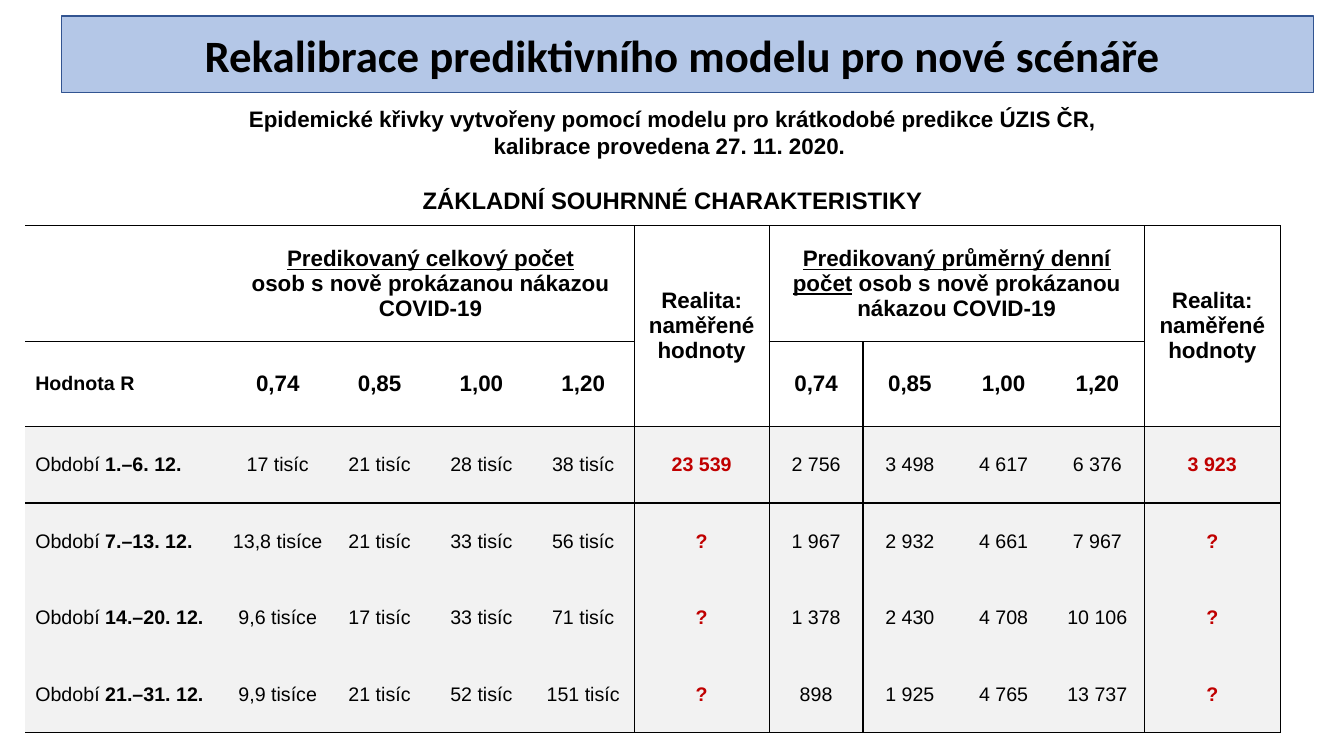
from dataclasses import dataclass

from lxml import etree
from pptx import Presentation
from pptx.dml.color import RGBColor
from pptx.enum.text import MSO_ANCHOR, MSO_AUTO_SIZE, PP_ALIGN
from pptx.oxml.ns import qn
from pptx.util import Inches, Pt

LEFT, CENTER = PP_ALIGN.LEFT, PP_ALIGN.CENTER
MIDDLE = MSO_ANCHOR.MIDDLE
TITLE_ONLY = 5


@dataclass(frozen=True)
class Theme:
    title_font: str = "Calibri"
    body_font: str = "Arial"
    black: str = "000000"
    reality: str = "C00000"
    banner: str = "B4C7E7"
    banner_line: str = "325491"
    data_fill: str = "F2F2F2"
    title_size: int = 32
    section_size: int = 17
    header_size: int = 16
    data_size: int = 14
    line_width: int = 1


THEME = Theme()

# Content
TITLE = "Rekalibrace prediktivního modelu pro nové scénáře "
SOURCE_NOTE = ("Epidemické křivky vytvořeny pomocí modelu pro krátkodobé predikce ÚZIS ČR,"
               "\vkalibrace provedena 27. 11. 2020. ")
SECTION = "ZÁKLADNÍ SOUHRNNÉ CHARAKTERISTIKY"

# Group headings: first part underlined, second part plain
TOTAL_HEADING = ("Predikovaný celkový počet", "\vosob s nově prokázanou nákazou COVID-19")
DAILY_HEADING = ("Predikovaný průměrný denní počet", " osob s nově prokázanou nákazou COVID-19")
REALITY_HEADING = "Realita: naměřené\nhodnoty"
R_LABEL = "Hodnota R"
R_VALUES = ["0,74", "0,85", "1,00", "1,20"]

# Period, predicted totals, measured total, predicted daily means, measured daily mean
PERIODS = [
    ("1.–6. 12.", ["17 tisíc", "21 tisíc", "28 tisíc", "38 tisíc"], "23 539",
     ["2 756", "3 498", "4 617", "6 376"], "3 923"),
    ("7.–13. 12.", ["13,8 tisíce", "21 tisíc", "33 tisíc", "56 tisíc"], "?",
     ["1 967", "2 932", "4 661", "7 967"], "?"),
    ("14.–20. 12.", ["9,6 tisíce", "17 tisíc", "33 tisíc", "71 tisíc"], "?",
     ["1 378", "2 430", "4 708", "10 106"], "?"),
    ("21.–31. 12.", ["9,9 tisíce", "21 tisíc", "52 tisíc", "151 tisíc"], "?",
     ["898", "1 925", "4 765", "13 737"], "?"),
]

# Table layout
COLUMN_WIDTHS = [2] + [1.01] * 4 + [1.34] + [0.93] * 4 + [1.35]
ROW_HEIGHTS = [1.15, 0.73] + [0.76] * len(PERIODS)
TOTAL_COLUMN, DAILY_COLUMN = 1, 6
REALITY_COLUMNS = (5, 10)
HEADER_ROWS = 2


def style(font, size, bold=True, color=THEME.black, name=THEME.body_font):
    font.name, font.size, font.bold = name, Pt(size), bold
    font.color.rgb = RGBColor.from_string(color)


def write(cell, text, size, bold=True, color=THEME.black, align=CENTER):
    cell.text_frame.text = text
    for paragraph in cell.text_frame.paragraphs:
        paragraph.alignment = align
        for run in paragraph.runs:
            style(run.font, size, bold, color)


def append(cell, text, size):
    """Adds a second part, after a line break if the text starts with one."""
    paragraph = cell.text_frame.paragraphs[0]
    if text.startswith("\v"):
        paragraph.add_line_break()
    run = paragraph.add_run()
    run.text = text.lstrip("\v")
    style(run.font, size)
    return run


def ruled_vertical(row, edge):
    return edge in (5, 6, 10, 11) or (edge == 7 and row > 0)


def ruled_horizontal(edge, column):
    return edge in (0, 2, 3, 6) or (edge == 1 and column not in REALITY_COLUMNS)


def set_borders(cell, row, column):
    sides = {
        "a:lnL": ruled_vertical(row, column),
        "a:lnR": ruled_vertical(row, column + 1),
        "a:lnT": ruled_horizontal(row, column),
        "a:lnB": ruled_horizontal(row + 1, column),
    }
    properties = cell._tc.get_or_add_tcPr()
    for tag, ruled in sides.items():
        width = Pt(THEME.line_width) if ruled else 0
        line = etree.SubElement(properties, qn(tag), w=str(int(width)))
        if ruled:
            fill = etree.SubElement(line, qn("a:solidFill"))
            etree.SubElement(fill, qn("a:srgbClr"), val=THEME.black)
        else:
            etree.SubElement(line, qn("a:noFill"))


def add_title(slide):
    title = slide.shapes.title
    title.left, title.top = Inches(0.61), Inches(0.16)
    title.width, title.height = Inches(12.42), Inches(0.76)
    outline = etree.SubElement(title._element.spPr, qn("a:prstGeom"), prst="roundRect")
    etree.SubElement(outline, qn("a:avLst"))
    title.fill.solid()
    title.fill.fore_color.rgb = RGBColor.from_string(THEME.banner)
    title.line.color.rgb = RGBColor.from_string(THEME.banner_line)
    title.line.width = Pt(THEME.line_width)
    frame = title.text_frame
    frame.text = TITLE
    frame.auto_size = MSO_AUTO_SIZE.NONE
    frame.vertical_anchor = MIDDLE
    frame.paragraphs[0].alignment = CENTER
    style(frame.paragraphs[0].runs[0].font, THEME.title_size, name=THEME.title_font)


def add_intro(slide):
    intro = slide.shapes.add_textbox(Inches(-0.19), Inches(0.99), Inches(13.72), Inches(1.21))
    frame = intro.text_frame
    frame.word_wrap = True
    note, section = frame.paragraphs[0], frame.add_paragraph()
    note.text, section.text = SOURCE_NOTE, SECTION
    section.space_before = Pt(19.5)
    for paragraph, size in ((note, THEME.header_size), (section, THEME.section_size)):
        paragraph.alignment = CENTER
        paragraph.line_spacing = Pt(19.5)
        for run in paragraph.runs:
            style(run.font, size)


def add_predictions(slide):
    table = slide.shapes.add_table(
        len(ROW_HEIGHTS), len(COLUMN_WIDTHS), Inches(0.25), Inches(2.24),
        Inches(sum(COLUMN_WIDTHS)), Inches(sum(ROW_HEIGHTS))).table
    table.first_row = table.horz_banding = False
    for column, width in zip(table.columns, COLUMN_WIDTHS):
        column.width = Inches(width)
    for row, height in zip(table.rows, ROW_HEIGHTS):
        row.height = Inches(height)

    # Borders, fills and margins
    for r in range(len(ROW_HEIGHTS)):
        for c in range(len(COLUMN_WIDTHS)):
            cell = table.cell(r, c)
            set_borders(cell, r, c)
            cell.vertical_anchor = MIDDLE
            if r >= HEADER_ROWS:
                cell.fill.solid()
                cell.fill.fore_color.rgb = RGBColor.from_string(THEME.data_fill)
            else:
                cell.fill.background()
            if r > 0 and c > 0:
                cell.margin_left = cell.margin_right = Inches(0.01)
                cell.margin_top = cell.margin_bottom = 0

    # Header rows
    for start, (underlined, plain) in ((TOTAL_COLUMN, TOTAL_HEADING), (DAILY_COLUMN, DAILY_HEADING)):
        heading = table.cell(0, start)
        heading.merge(table.cell(0, start + len(R_VALUES) - 1))
        write(heading, underlined, THEME.header_size)
        heading.text_frame.paragraphs[0].runs[0].font.underline = True
        append(heading, plain, THEME.header_size)
        for offset, value in enumerate(R_VALUES):
            write(table.cell(1, start + offset), value, THEME.header_size)
    for c in REALITY_COLUMNS:
        table.cell(0, c).merge(table.cell(1, c))
        write(table.cell(0, c), REALITY_HEADING, THEME.header_size)
    write(table.cell(1, 0), R_LABEL, THEME.data_size, align=LEFT)

    # Period rows
    for r, (period, totals, measured, daily, measured_daily) in enumerate(PERIODS, HEADER_ROWS):
        write(table.cell(r, 0), "Období ", THEME.data_size, bold=False, align=LEFT)
        append(table.cell(r, 0), period, THEME.data_size)
        for c, value in enumerate([*totals, measured, *daily, measured_daily], 1):
            real = c in REALITY_COLUMNS
            write(table.cell(r, c), value, THEME.data_size, bold=real,
                  color=THEME.reality if real else THEME.black)


def main():
    deck = Presentation()
    deck.slide_width, deck.slide_height = Inches(13.33), Inches(7.5)
    slide = deck.slides.add_slide(deck.slide_layouts[TITLE_ONLY])
    add_title(slide)
    add_predictions(slide)
    add_intro(slide)
    deck.save("out.pptx")


if __name__ == "__main__":
    main()
